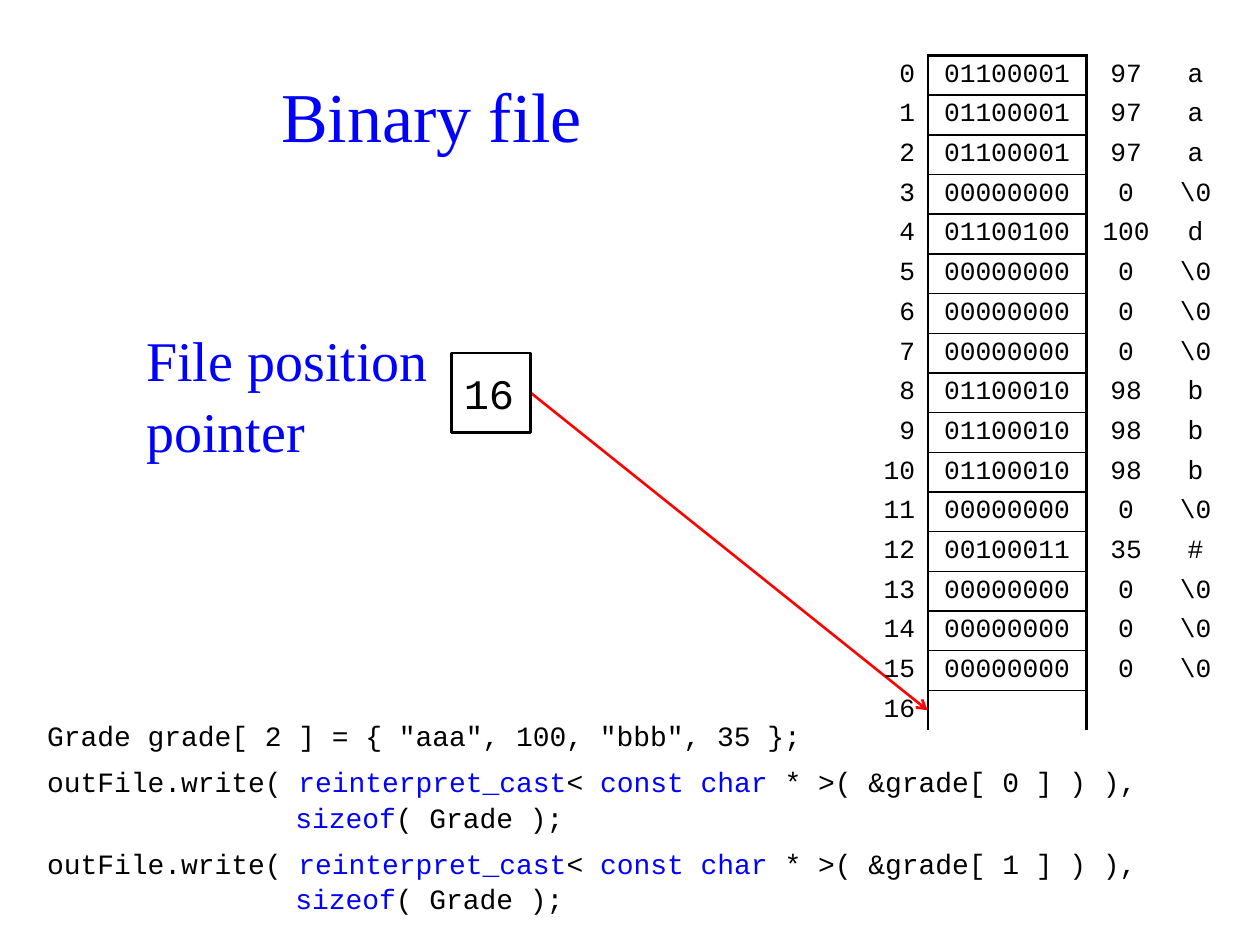
from lxml.etree import SubElement
from pptx import Presentation
from pptx.dml.color import RGBColor
from pptx.enum.shapes import MSO_CONNECTOR, MSO_SHAPE
from pptx.enum.text import MSO_ANCHOR, PP_ALIGN
from pptx.oxml.ns import qn
from pptx.util import Inches, Pt

HUES = {"ink": "000000", "blue": "0000FF", "red": "FF0000"}
MONO, SERIF = "Courier New", "Times New Roman"
STEP = 0.315  # grid pitch in inches: one table row


def place(col, row, wide=0, high=0):
    """Turn grid columns and rows into left, top, width and height."""
    return (Inches(0.275 + col * STEP), Inches(0.44 + row * STEP),
            Inches(wide * STEP), Inches(high * STEP))


def style(para, size, face, hue="ink", align=PP_ALIGN.LEFT):
    """Set the font and alignment of a paragraph."""
    para.font.size, para.font.name = Pt(size), face
    para.font.color.rgb = RGBColor.from_string(HUES[hue])
    para.alignment = align


deck = Presentation()
deck.slide_width, deck.slide_height = Inches(10), Inches(7.5)
slide = deck.slides.add_slide(deck.slide_layouts[5])
shapes = slide.shapes

# Title
title = shapes.title
title.left, title.top, title.width, title.height = place(0, 0, 20, 3)
title.text_frame.text = "Binary file"
title.text_frame.vertical_anchor = MSO_ANCHOR.MIDDLE
style(title.text_frame.paragraphs[0], 40, SERIF, "blue", PP_ALIGN.CENTER)

# Code: every second part of a line is a keyword
lines = [['Grade grade[ 2 ] = { "aaa", 100, "bbb", 35 };']]
for num in range(2):
    lines.append(["outFile.write( ", "reinterpret_cast", "< ", "const char",
                  f" * >( &grade[ {num} ] ) ),\t", "sizeof", "( Grade );"])
code = shapes.add_textbox(*place(0, 16.5, 28.5, 5)).text_frame
code.word_wrap = True
for num, parts in enumerate(lines):
    para = code.add_paragraph() if num else code.paragraphs[0]
    style(para, 16, MONO)
    para.space_before, para.line_spacing = Pt(6), 1.06
    props = para._p.get_or_add_pPr()
    props.set("marL", str(Inches(1.97)))
    props.set("indent", str(-Inches(1.97)))
    for spot, part in enumerate(parts):
        run = para.add_run()
        run.text = part
        if spot % 2:
            run.font.color.rgb = RGBColor.from_string(HUES["blue"])

# Arrow from the pointer box to the next free byte
arrow = shapes.add_connector(MSO_CONNECTOR.STRAIGHT, *place(12.5, 8.5)[:2],
                             *place(22.5, 16.5)[:2])
arrow.line.color.rgb = RGBColor.from_string(HUES["red"])
arrow.line.width = Pt(1.5)
SubElement(arrow.line._get_or_add_ln(), qn("a:tailEnd"), type="arrow")
SubElement(arrow._element.spPr, qn("a:effectLst"))

# Pointer box
box = shapes.add_shape(MSO_SHAPE.RECTANGLE, *place(10.5, 7.5, 2, 2))
box.shadow.inherit = False
box.fill.background()
box.line.color.rgb = RGBColor.from_string(HUES["ink"])
box.line.width = Pt(1.5)
box.text_frame.text = "16"
box.text_frame.word_wrap = False
box.text_frame.vertical_anchor = MSO_ANCHOR.MIDDLE
style(box.text_frame.paragraphs[0], 24, MONO)

# Byte table: address, bits, value, character
data = [97, 97, 97, 0, 100, 0, 0, 0, 98, 98, 98, 0, 35, 0, 0, 0]
rows = [(str(num), f"{val:08b}", str(val), chr(val) if val else "\\0")
        for num, val in enumerate(data)] + [(str(len(data)), "", "", "")]
wides = [1.5, 4, 2, 1.5]
pads = [0.1, 0.08, 0.06, 0.1]
table = shapes.add_table(len(rows), len(wides),
                         *place(21, 0, sum(wides), len(rows))).table
table.first_row = table.horz_banding = False
look = table._tbl.tblPr.find(qn("a:tableStyleId"))
look.text = "{2D5ABB26-0587-4C30-8999-92F81FD0307C}"  # no style, no grid
for col, wide in zip(table.columns, wides):
    col.width = Inches(wide * STEP)
for y, row in enumerate(rows):
    table.rows[y].height = Inches(STEP)
    for x, text in enumerate(row):
        cell = table.cell(y, x)
        cell.text = text
        cell.margin_left = cell.margin_right = Inches(pads[x])
        cell.margin_top = cell.margin_bottom = 0
        cell.vertical_anchor = MSO_ANCHOR.MIDDLE
        para = cell.text_frame.paragraphs[0]
        style(para, 15, MONO, align=PP_ALIGN.CENTER if x else PP_ALIGN.RIGHT)
        para.space_before = Pt(3)
        edges = {}
        if x == 1:
            edges = {"lnL": 1.5, "lnR": 1.5, "lnT": 1 if y else 1.5}
            if y < len(data):
                edges["lnB"] = 1
        for side, thick in edges.items():
            edge = SubElement(cell._tc.get_or_add_tcPr(), qn("a:" + side),
                              w=str(Pt(thick)))
            fill = SubElement(edge, qn("a:solidFill"))
            SubElement(fill, qn("a:srgbClr"), val=HUES["ink"])
        cell.fill.background()

# Label beside the pointer box
label = shapes.add_textbox(*place(2.5, 6.5, 8, 4)).text_frame
label.word_wrap = False
label.vertical_anchor = MSO_ANCHOR.MIDDLE
label.text = "File position\npointer"
for para in label.paragraphs:
    style(para, 32, SERIF, "blue")
    para.line_spacing = 1.06

deck.save("out.pptx")
